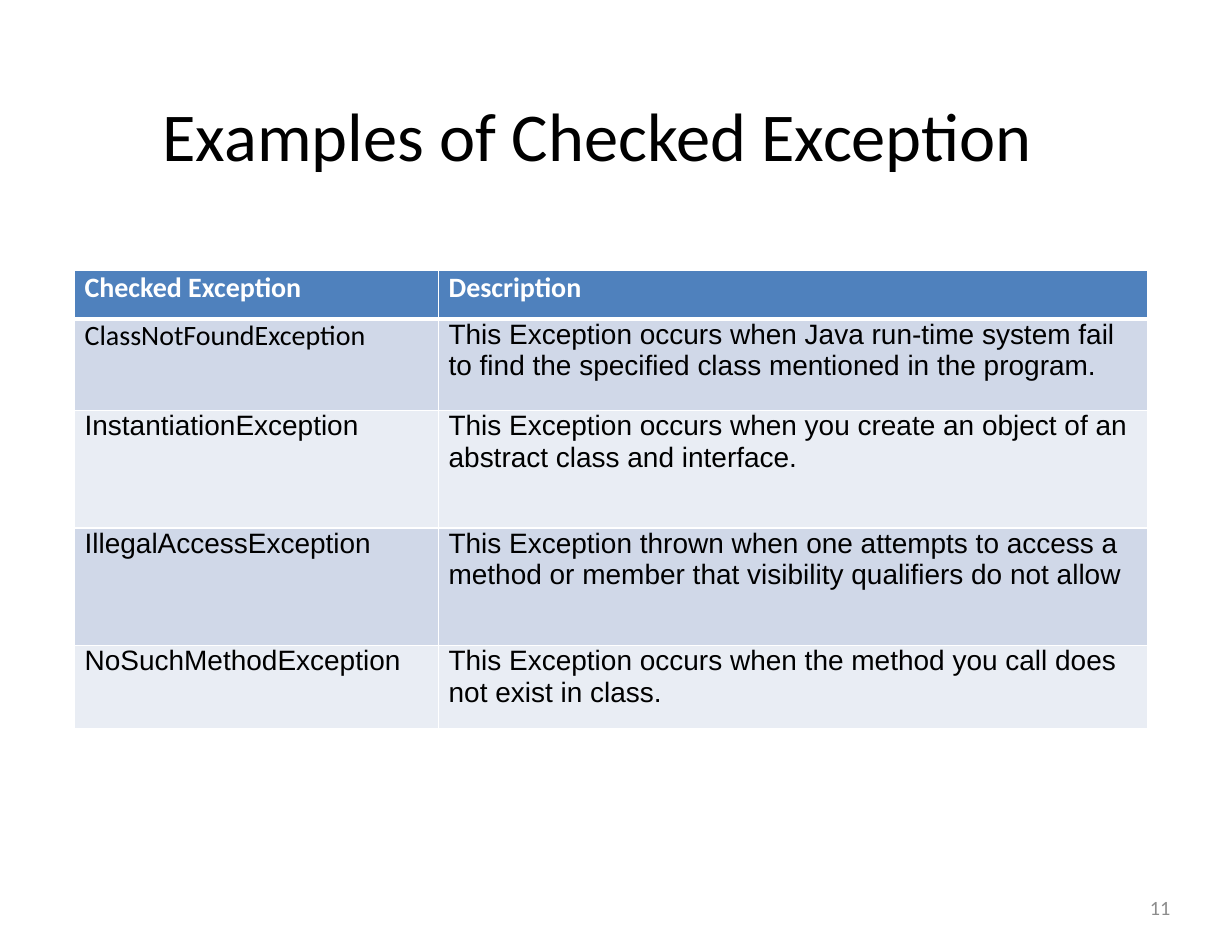
"""Build a slide with a table of checked exceptions."""
from dataclasses import dataclass

import pptx
import pptx.dml.color
import pptx.enum.text
import pptx.oxml
import pptx.oxml.ns
import pptx.util

Pt = pptx.util.Pt
Align = pptx.enum.text.PP_ALIGN
Anchor = pptx.enum.text.MSO_ANCHOR

COLORS = {
    "header": "4F81BD",
    "band_dark": "D0D8E8",
    "band_light": "E9EDF4",
    "white": "FFFFFF",
    "black": "000000",
    "gray": "8C8C8C",
}
COL_WIDTHS = (234, 455.75)
THIN, THICK = 1.18, 3.1


@dataclass(frozen=True)
class Style:
    size: float
    font: str
    color: str
    bold: bool = False


@dataclass(frozen=True)
class Row:
    name: str
    description: str
    height: float
    name_font: str = "Arial"


ROWS = (
    Row("ClassNotFoundException",
        "This Exception occurs when Java run-time system fail to find the "
        "specified class mentioned in the program.", 59.0, "Calibri"),
    Row("InstantiationException",
        "This Exception occurs when you create an object of an abstract "
        "class and interface.", 75.6),
    Row("IllegalAccessException",
        "This Exception thrown when one attempts to access a method or "
        "member that visibility qualifiers do not allow", 75.6),
    Row("NoSuchMethodException",
        "This Exception occurs when the method you call does not exist in "
        "class.", 53.3),
)
HEADER = Row("Checked Exception", "Description", 31, "Calibri")


def rgb(name: str) -> pptx.dml.color.RGBColor:
    return pptx.dml.color.RGBColor.from_string(COLORS[name])


def add_run(p, text: str, style: Style) -> None:
    r = p.add_run()
    r.text = text
    r.font.size = Pt(style.size)
    r.font.name = style.font
    r.font.bold = style.bold
    r.font.color.rgb = rgb(style.color)


def write_line(tf, text: str, style: Style, align) -> None:
    tf.word_wrap = True
    tf.vertical_anchor = Anchor.MIDDLE
    tf.margin_left = tf.margin_right = tf.margin_top = tf.margin_bottom = 0
    p = tf.paragraphs[0]
    p.alignment = align
    add_run(p, text, style)


def set_borders(cell, top: float, bottom: float) -> None:
    tc_pr = cell._tc.get_or_add_tcPr()
    sides = (("L", THIN), ("R", THIN), ("T", top), ("B", bottom))
    for i, (side, width) in enumerate(sides):
        tc_pr.insert(i, pptx.oxml.parse_xml(
            f'<a:ln{side} {pptx.oxml.ns.nsdecls("a")} w="{int(Pt(width))}">'
            f'<a:solidFill><a:srgbClr val="{COLORS["white"]}"/></a:solidFill>'
            f'</a:ln{side}>'))


def fill_cell(cell, text: str, style: Style, fill: str) -> None:
    cell.margin_left, cell.margin_right = Pt(6.5), Pt(4)
    cell.margin_top = cell.margin_bottom = 0
    cell.vertical_anchor = Anchor.TOP
    cell.fill.solid()
    cell.fill.fore_color.rgb = rgb(fill)
    add_run(cell.text_frame.paragraphs[0], text, style)


def add_exception_table(s) -> None:
    rows = (HEADER, *ROWS)
    table = s.shapes.add_table(
        len(rows), len(COL_WIDTHS), Pt(47.9), Pt(173.9),
        Pt(sum(COL_WIDTHS)), Pt(sum(row.height for row in rows))).table
    table.first_row = table.horz_banding = False
    for col, width in zip(table.columns, COL_WIDTHS):
        col.width = Pt(width)
    for i, row in enumerate(rows):
        table.rows[i].height = Pt(row.height)
        is_header = i == 0
        fill = "header" if is_header else ("band_light", "band_dark")[i % 2]
        color = "white" if is_header else "black"
        fonts = (row.name_font, "Calibri" if is_header else "Arial")
        for j, text in enumerate((row.name, row.description)):
            cell = table.cell(i, j)
            fill_cell(cell, text, Style(18, fonts[j], color, is_header), fill)
            set_borders(cell, THICK if i == 1 else THIN,
                        THICK if is_header else THIN)


def main() -> None:
    prs = pptx.Presentation()
    prs.slide_width, prs.slide_height = Pt(792), Pt(612)
    s = prs.slides.add_slide(prs.slide_layouts[5])

    title = s.shapes.title
    title.left, title.top = Pt(0.7), Pt(59.8)
    title.width, title.height = Pt(712.8), Pt(53.3)
    write_line(title.text_frame, "Examples of Checked Exception",
               Style(44, "Calibri", "black"), Align.LEFT)
    title.text_frame.margin_left = Pt(103.7)

    number = s.shapes.add_textbox(Pt(567.4), Pt(567.4), Pt(185), Pt(32.4))
    write_line(number.text_frame, "11", Style(13, "Calibri", "gray"),
               Align.RIGHT)

    add_exception_table(s)
    prs.save("out.pptx")


if __name__ == "__main__":
    main()
